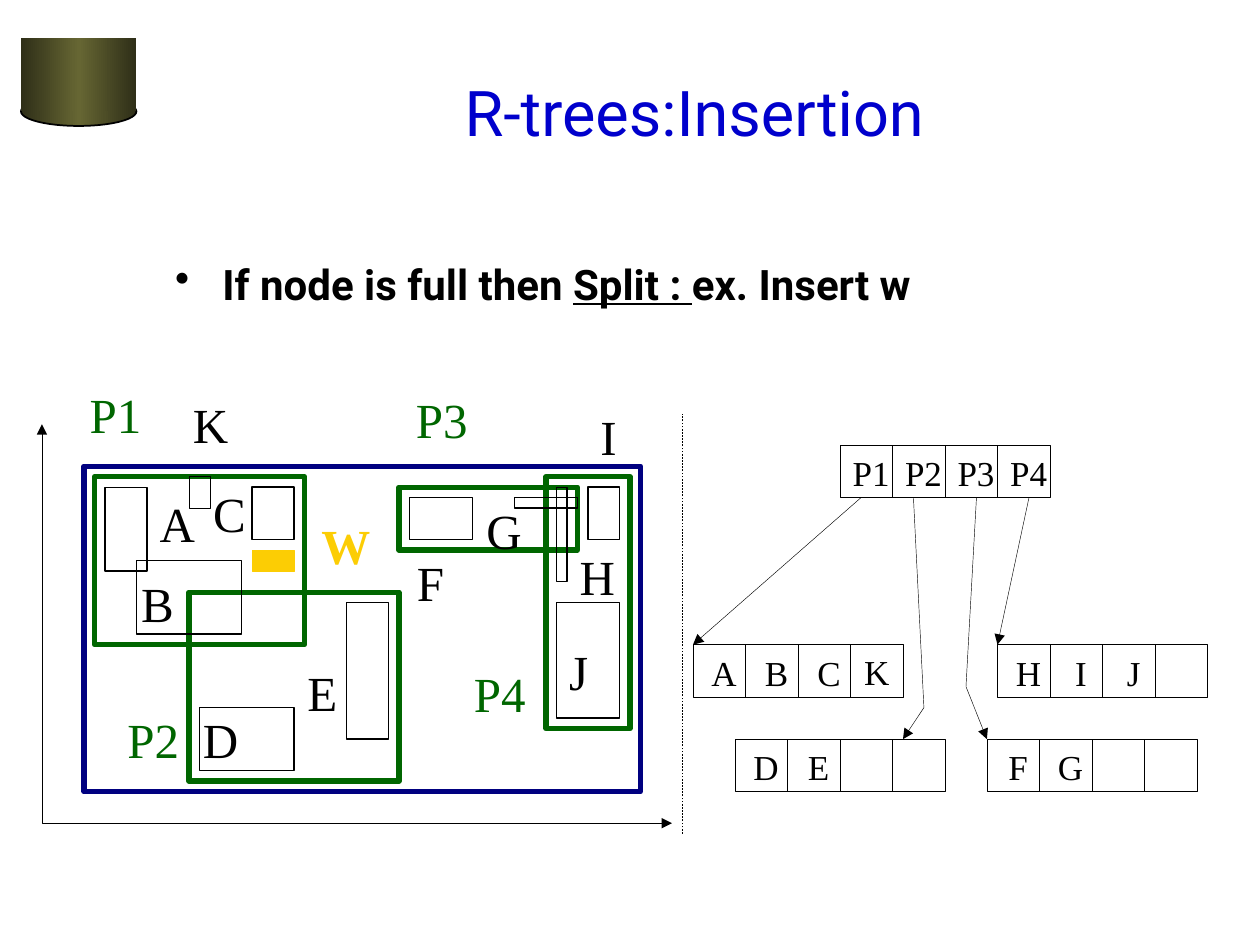
from copy import deepcopy
from dataclasses import dataclass

from lxml import etree
from pptx import Presentation
from pptx.dml.color import RGBColor
from pptx.enum import dml, shapes, text
from pptx.oxml import ns
from pptx.util import Pt


@dataclass(frozen=True)
class Theme:
    black: str = "000000"
    blue: str = "0000CC"
    navy: str = "000080"
    green: str = "006600"
    gold: str = "FCCD04"
    olive: str = "666633"
    dark: str = "2F2F18"
    sans: str = "Roboto"
    serif: str = "Times New Roman"
    title: float = 36
    body: float = 24
    label: float = 28
    entry: float = 20
    thick: float = 3
    thin: float = 0.75
    hair: float = 0.25


T = Theme()
GRID = 6  # points per grid step
CELL = 5  # grid steps per node cell
# Advance of each label in ems
WIDE = {"B": 0.67, "C": 0.67, "E": 0.61, "F": 0.56, "I": 0.33, "J": 0.39, "W": 1}
WIDE |= {c: 0.72 for c in "ADGHK"} | {f"P{n}": 1.06 for n in range(1, 5)}


def rgb(code):
    return RGBColor.from_string(code)


def style(font, face, size, color, bold=False):
    font.name, font.size, font.bold = face, Pt(size), bold
    font.color.rgb = rgb(color)


def shape(parent, kind, x, y, w, h, line=None, width=T.thin, fill=None):
    item = parent.shapes.add_shape(kind, Pt(x), Pt(y), Pt(w), Pt(h))
    item.shadow.inherit = False
    if fill:
        item.fill.solid()
        item.fill.fore_color.rgb = rgb(fill)
    else:
        item.fill.background()
    if line:
        item.line.color.rgb = rgb(line)
        item.line.width = Pt(width)
    else:
        item.line.fill.background()
    return item


def rect(parent, *args, **opts):
    return shape(parent, shapes.MSO_SHAPE.RECTANGLE, *args, **opts)


def textbox(parent, x, y, w, h, anchor=text.MSO_ANCHOR.MIDDLE, wrap=True):
    frame = parent.shapes.add_textbox(Pt(x), Pt(y), Pt(w), Pt(h)).text_frame
    frame.word_wrap = wrap
    frame.vertical_anchor = anchor
    return frame


def tag_width(word, size):
    return round(WIDE[word] * size + 14.4, 2)


def tag(parent, word, x, y, size, color=T.black, bold=False):
    frame = textbox(parent, x, y, tag_width(word, size), 1.22 * size + 7.2, wrap=False)
    frame.auto_size = text.MSO_AUTO_SIZE.SHAPE_TO_FIT_TEXT
    para = frame.paragraphs[0]
    para.text = word
    para.alignment = text.PP_ALIGN.CENTER
    style(para.font, T.serif, size, color, bold)


def finish(item, ends=()):
    """Hairline stroke, with a triangle at each named end."""
    item.line.color.rgb = rgb(T.black)
    item.line.width = Pt(T.hair)
    line = item.line._get_or_add_ln()
    for end in ends:
        etree.SubElement(line, ns.qn(f"a:{end}"), type="triangle")


def straight(slide, a, b, ends=()):
    item = slide.shapes.add_connector(
        shapes.MSO_CONNECTOR.STRAIGHT, *(Pt(v) for v in (*a, *b)))
    finish(item, ends)
    etree.SubElement(item.element.spPr, ns.qn("a:effectLst"))
    return item


def bent(slide, points, ends):
    first, *rest = [(Pt(x), Pt(y)) for x, y in points]
    path = slide.shapes.build_freeform(*first)
    path.add_line_segments(rest, close=False)
    item = path.convert_to_shape()
    item.shadow.inherit = False
    item.fill.background()
    finish(item, ends)


def drum(slide, x, y, w, h):
    """Shaded cylinder in the corner."""
    group = slide.shapes.add_group_shape()
    base = shape(group, shapes.MSO_SHAPE.OVAL, x, y + h - 16.6, w, 16.6, T.black, 1)
    side = rect(group, x, y, w, h - 8.3)
    for part in (base, side):
        part.fill.gradient()
        part.fill.gradient_angle = 0
        stops = part.element.spPr.find(".//" + ns.qn("a:gsLst"))
        stops.insert(1, deepcopy(stops[0]))
        tones = (T.dark, T.olive, T.dark)
        for stop, tone, at in zip(part.fill.gradient_stops, tones, (0, 0.5, 1)):
            stop.color.rgb = rgb(tone)
            stop.position = at


def title(slide, x, y, w, h):
    para = textbox(slide, x, y, w, h).paragraphs[0]
    para.text = "R-trees:Insertion"
    para.alignment = text.PP_ALIGN.CENTER
    style(para.font, T.sans, T.title, T.blue)


def body(slide, x, y, w, h):
    para = textbox(slide, x, y, w, h, text.MSO_ANCHOR.TOP).paragraphs[0]
    props = para._p.get_or_add_pPr()
    props.set("marL", str(Pt(27)))
    props.set("indent", str(Pt(-27)))
    etree.SubElement(props, ns.qn("a:buChar"), char="•")
    style(para.font, T.sans, T.body, T.black, True)
    for words, under in (("If node is full then ", False), ("Split : ", True),
                         ("ex. Insert w", False)):
        run = para.add_run()
        run.text = words
        run.font.underline = under


def plane(slide, x, y, w, h):
    """Nested rectangles on a pair of axes."""
    def boxes(items, color, width, fill=None):
        for col, row, wide, high in items:
            rect(slide, x + col * GRID, y + row * GRID, wide * GRID, high * GRID,
                 line=color, width=width, fill=fill)

    # Bounding regions P1, P4, P2, P3
    boxes([(5, 5, 20, 16), (48, 5, 8, 24), (14, 16, 20, 18), (34, 6, 17, 6)],
          T.green, T.thick)
    # Objects A, C, B, D, E, F, J, I, G, H
    boxes([(6, 6, 4, 8), (20, 6, 4, 5), (9, 13, 10, 7), (15, 27, 9, 6),
           (29, 17, 4, 13), (35, 7, 6, 4), (49, 17, 6, 11), (52, 6, 3, 5),
           (45, 7, 6, 1), (49, 6, 1, 9)], T.black, T.thin)
    # Whole space, then the new object and K
    boxes([(4, 4, 53, 31)], T.navy, T.thick)
    boxes([(20, 12, 4, 2)], T.gold, T.hair, T.gold)
    boxes([(14, 5, 2, 3)], T.black, T.hair)
    bent(slide, [(x, y), (x, y + h), (x + w, y + h)], ("headEnd", "tailEnd"))

    # Labels
    for word, left, top in (
            ("A", 60, 36), ("B", 49.4, 81.6), ("C", 90.5, 30), ("D", 84.7, 159.4),
            ("E", 144.5, 132), ("F", 207, 69.4), ("G", 246.7, 40), ("H", 300, 66),
            ("I", 312, -14), ("J", 294, 120), ("K", 79, -20.6), ("P1", 20, -26.4),
            ("P2", 41.5, 159.4), ("P3", 206.4, -23.5), ("P4", 239.5, 132.7),
            ("W", 152.4, 48)):
        color = T.green if word[0] == "P" else T.gold if word == "W" else T.black
        tag(slide, word, x + left, y + top, T.label, color, word == "W")


def node(slide, x, y, words):
    """Row of four cells, filled from the left."""
    group = slide.shapes.add_group_shape()
    side = CELL * GRID
    for n in range(4):
        rect(group, x + n * side, y, side, side, line=T.black, width=T.hair)
    for n, word in enumerate(words):
        left = x + n * side + 17.75 - tag_width(word, T.entry) / 2
        tag(group, word, left, y, T.entry)


def tree(slide, x, y, h):
    """Root, four leaves and the pointers between them."""
    def at(col, row):
        return x + col * GRID, y + row * GRID

    divider = straight(slide, (x, y + h), (x, y))
    divider.line.dash_style = dml.MSO_LINE.DASH

    for col, row, words in ((15, 3, ("P1", "P2", "P3", "P4")), (1, 22, "ABC"),
                            (5, 31, "DE"), (29, 31, "FG"), (30, 22, "HIJ")):
        node(slide, *at(col, row), words)
    left, top = at(1 + 3 * CELL, 22)
    tag(slide, "K", left + 0.7, top - 0.5, T.entry)

    for start, end in (((17, 8), (1, 22)), ((33, 8), (30, 22))):
        straight(slide, at(*start), at(*end), ("tailEnd",))
    for turns in (((22, 8), (23, 28), (21, 31)), ((28, 8), (27, 26), (29, 31))):
        bent(slide, [at(*turn) for turn in turns], ("tailEnd",))


def main():
    deck = Presentation()
    deck.slide_width, deck.slide_height = Pt(720), Pt(540)
    slide = deck.slides.add_slide(deck.slide_layouts[6])
    drum(slide, 12, 21.6, 66, 50.4)
    title(slide, 90, 30, 613.5, 67)
    body(slide, 93, 144, 612, 339)
    plane(slide, 24, 242.4, 360, 228)
    tree(slide, 390, 236.4, 240)
    deck.save("out.pptx")


if __name__ == "__main__":
    main()
